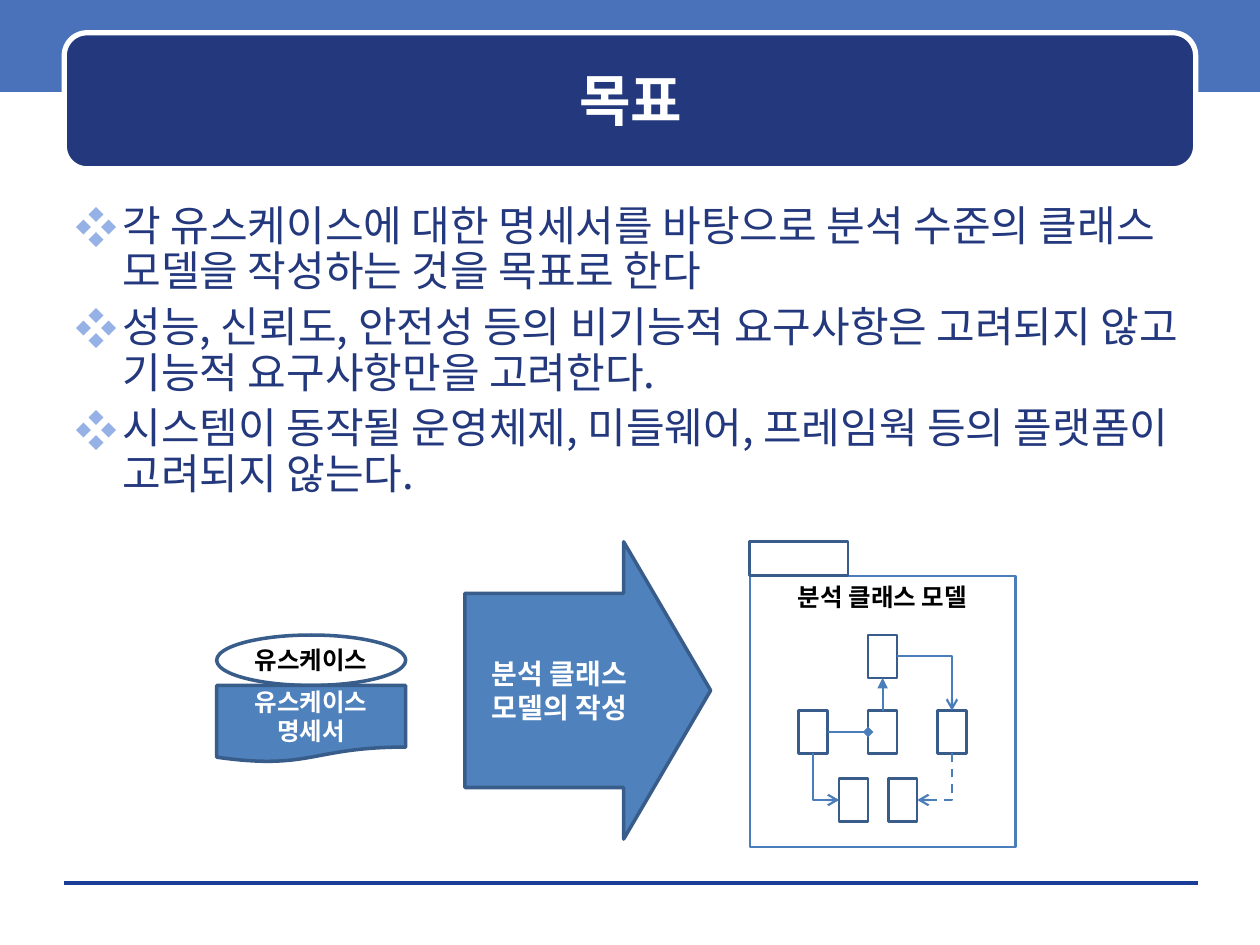
"""Build the slide on the goal of analysis class modelling."""

from dataclasses import dataclass
from typing import Optional

from lxml.etree import SubElement
from pptx import Presentation
from pptx.dml.color import RGBColor
from pptx.enum.dml import MSO_LINE
from pptx.enum.shapes import MSO_CONNECTOR, MSO_SHAPE
from pptx.enum.text import MSO_ANCHOR, PP_ALIGN
from pptx.oxml.ns import qn
from pptx.util import Emu, Inches, Pt

COLUMNS, ROWS = 100, 75
CELL = Inches(0.1)
FONT = "Noto Sans CJK KR"
COLORS = {
    "band": "4972BB", "navy": "23387D", "rule": "1A3D97", "bullet": "96B1E6",
    "blue": "4F81BD", "outline": "385D8A", "link": "4A7EBB",
    "white": "FFFFFF", "black": "000000",
}
CLASS_WIDTH, CLASS_HEIGHT = 2.3, 3.4


@dataclass(frozen=True)
class Label:
    lines: tuple[str, ...]
    size: float
    color: str
    bold: bool = True
    bulleted: bool = False
    anchor: MSO_ANCHOR = MSO_ANCHOR.MIDDLE
    side_inset: float = 1


@dataclass(frozen=True)
class Block:
    kind: MSO_SHAPE
    left: float
    top: float
    width: float
    height: float
    fill: Optional[str] = None
    line: Optional[str] = None
    weight: float = 2
    adjustments: tuple[float, ...] = ()
    label: Optional[Label] = None


@dataclass(frozen=True)
class ClassBox:
    left: float
    top: float

    def side(self, name: str) -> tuple[float, float]:
        """Return the middle of the named side."""
        across, down = {"left": (0, 0.5), "right": (1, 0.5), "top": (0.5, 0), "bottom": (0.5, 1)}[name]
        return self.left + across * CLASS_WIDTH, self.top + down * CLASS_HEIGHT


@dataclass(frozen=True)
class Link:
    begin: tuple[float, float]
    end: tuple[float, float]
    color: str = "link"
    weight: float = 1.25
    bent: bool = False
    dashed: bool = False
    head: Optional[str] = None
    tail: Optional[str] = None


def grid(cells: float) -> Emu:
    """Convert grid cells to a length."""
    return Emu(round(cells * CELL))


def rgb(name: str) -> RGBColor:
    """Look up a named colour."""
    return RGBColor.from_string(COLORS[name])


def add_bullet(paragraph) -> None:
    """Give the paragraph a hanging diamond bullet."""
    properties = paragraph._p.get_or_add_pPr()
    properties.set("marL", str(grid(3.75)))
    properties.set("indent", str(-grid(3.75)))
    color = SubElement(properties, qn("a:buClr"))
    SubElement(color, qn("a:srgbClr"), val=COLORS["bullet"])
    SubElement(properties, qn("a:buFont"), typeface=FONT)
    SubElement(properties, qn("a:buChar"), char="❖")


def write_label(shape, label: Label) -> None:
    """Write the label's lines as paragraphs of the shape."""
    frame = shape.text_frame
    frame.word_wrap = True
    frame.vertical_anchor = label.anchor
    frame.margin_left = frame.margin_right = grid(label.side_inset)
    frame.margin_top = frame.margin_bottom = grid(0.5)
    for index, line in enumerate(label.lines):
        paragraph = frame.paragraphs[0] if index == 0 else frame.add_paragraph()
        paragraph.text = line
        paragraph.alignment = PP_ALIGN.LEFT if label.bulleted else PP_ALIGN.CENTER
        if label.bulleted:
            paragraph.line_spacing = 0.9
            paragraph.space_before = Pt(6 if index else 0)
            add_bullet(paragraph)
        font = paragraph.font
        font.size, font.bold = Pt(label.size), label.bold
        font.color.rgb = rgb(label.color)
        font.name = FONT
        defaults = paragraph._p.pPr.find(qn("a:defRPr"))
        SubElement(defaults, qn("a:ea"), typeface=FONT)


def add_block(slide, block: Block) -> None:
    """Draw a preset shape with its label."""
    place = map(grid, (block.left, block.top, block.width, block.height))
    shape = slide.shapes.add_shape(block.kind, *place)
    shape.shadow.inherit = False
    for index, value in enumerate(block.adjustments):
        shape.adjustments[index] = value
    if block.fill:
        shape.fill.solid()
        shape.fill.fore_color.rgb = rgb(block.fill)
    else:
        shape.fill.background()
    if block.line:
        shape.line.color.rgb = rgb(block.line)
        shape.line.width = Pt(block.weight)
    else:
        shape.line.fill.background()
    if block.label:
        write_label(shape, block.label)


def add_text(slide, left: float, top: float, width: float, height: float, label: Label) -> None:
    """Draw a text box."""
    write_label(slide.shapes.add_textbox(*map(grid, (left, top, width, height))), label)


def add_link(slide, link: Link) -> None:
    """Draw a straight or one-corner connector."""
    kind = MSO_CONNECTOR.ELBOW if link.bent else MSO_CONNECTOR.STRAIGHT
    connector = slide.shapes.add_connector(kind, *map(grid, link.begin + link.end))
    properties = connector._element.spPr
    if link.bent:
        properties.find(qn("a:prstGeom")).set("prst", "bentConnector2")
    connector.line.color.rgb = rgb(link.color)
    connector.line.width = Pt(link.weight)
    if link.dashed:
        connector.line.dash_style = MSO_LINE.DASH
    outline = properties.find(qn("a:ln"))
    for tag, arrow in (("a:headEnd", link.head), ("a:tailEnd", link.tail)):
        if arrow:
            SubElement(outline, qn(tag), type=arrow)
    SubElement(properties, qn("a:effectLst"))


def main() -> None:
    """Build and save the slide."""
    presentation = Presentation()
    presentation.slide_width, presentation.slide_height = grid(COLUMNS), grid(ROWS)
    slide = presentation.slides.add_slide(presentation.slide_layouts[6])

    add_block(slide, Block(MSO_SHAPE.RECTANGLE, 0, -0.3, COLUMNS, 7.6, "band"))
    add_link(slide, Link((5.1, 70.1), (95.1, 70.1), "rule", 0))
    add_block(slide, Block(MSO_SHAPE.ROUNDED_RECTANGLE, 5.1, 2.6, 89.8, 10.8, "navy", "white", 3, (0.167,)))
    add_text(slide, 6, 3.5, 88.1, 8.8, Label(("목표",), 32, "white"))
    goals = (
        "각 유스케이스에 대한 명세서를 바탕으로 분석 수준의 클래스 모델을 작성하는 것을 목표로 한다",
        "성능, 신뢰도, 안전성 등의 비기능적 요구사항은 고려되지 않고 기능적 요구사항만을 고려한다.",
        "시스템이 동작될 운영체제, 미들웨어, 프레임웍 등의 플랫폼이 고려되지 않는다.",
    )
    add_text(slide, 5, 15.8, 90, 25.6, Label(goals, 24, "navy", False, True, MSO_ANCHOR.TOP))

    model = Label(("분석 클래스 모델",), 14, "black", anchor=MSO_ANCHOR.TOP)
    use_case = Label(("유스케이스",), 14, "black", side_inset=0)
    document = Label(("유스케이스", "명세서"), 14, "white")
    step = Label(("분석 클래스", "모델의 작성"), 16, "white")
    parent, whole = ClassBox(68.9, 50.4), ClassBox(68.9, 56.4)
    part, client = ClassBox(63.4, 56.4), ClassBox(74.4, 56.4)
    target, supplier = ClassBox(66.6, 61.8), ClassBox(70.5, 61.8)
    blocks = [
        Block(MSO_SHAPE.RECTANGLE, 59.5, 45.7, 21.1, 21.5, None, "link", 1.25, label=model),
        Block(MSO_SHAPE.RECTANGLE, 59.5, 43, 7.8, 2.7, None, "outline", 1.5),
        Block(MSO_SHAPE.OVAL, 17.2, 50.4, 15, 4, None, "outline", label=use_case),
        Block(MSO_SHAPE.FLOWCHART_DOCUMENT, 17.2, 54.4, 15, 6.1, "blue", "outline", label=document),
        Block(MSO_SHAPE.RIGHT_ARROW, 36.9, 43, 19.5, 23.6, "blue", "outline", 2, (0.653, 0.354), step),
    ]
    blocks += [
        Block(MSO_SHAPE.RECTANGLE, box.left, box.top, CLASS_WIDTH, CLASS_HEIGHT, None, "outline", 1.5)
        for box in (parent, whole, part, client, target, supplier)
    ]
    for block in blocks:
        add_block(slide, block)

    for link in (
        Link(parent.side("right"), client.side("top"), bent=True, tail="arrow"),
        Link(whole.side("top"), parent.side("bottom"), tail="triangle"),
        Link(part.side("right"), whole.side("left"), tail="diamond"),
        Link(supplier.side("right"), client.side("bottom"), bent=True, dashed=True, head="arrow"),
        Link(target.side("left"), part.side("bottom"), bent=True, head="arrow"),
    ):
        add_link(slide, link)
    presentation.save("out.pptx")


if __name__ == "__main__":
    main()
